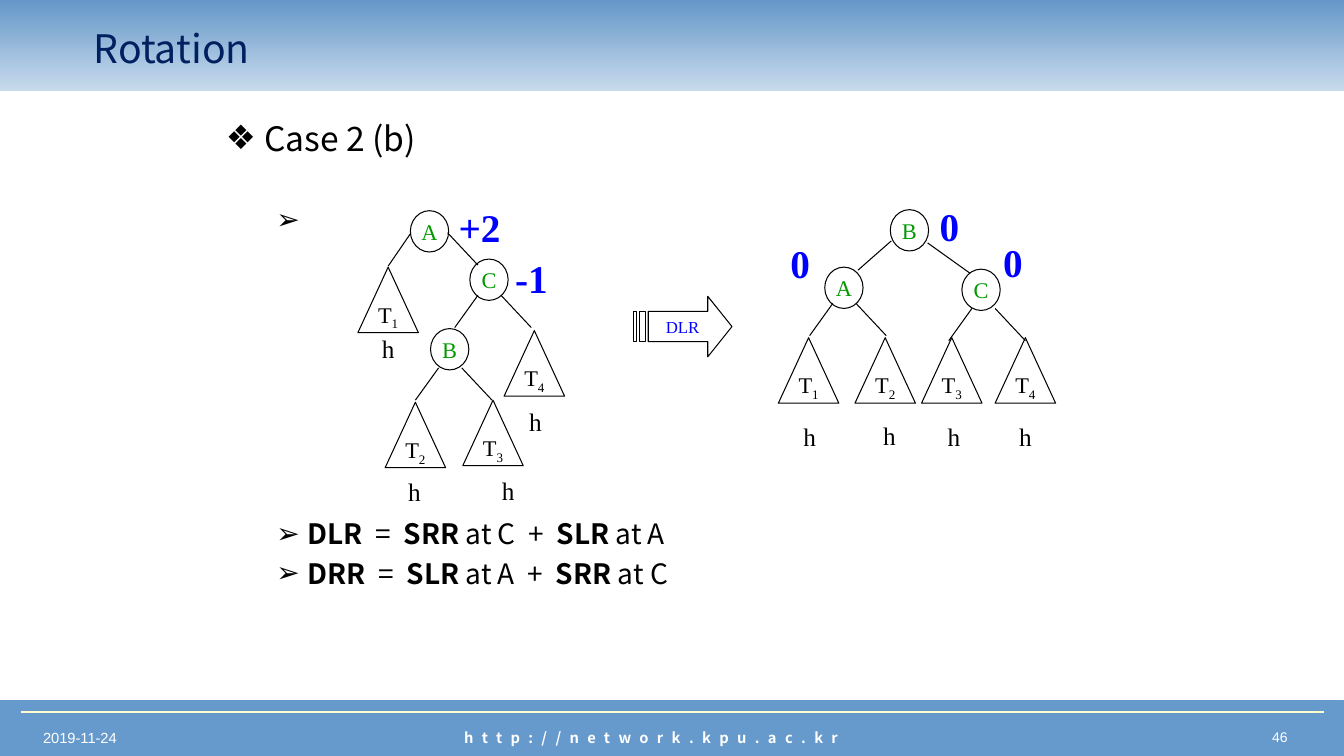
from lxml import etree
from pptx import Presentation
from pptx.dml.color import RGBColor
from pptx.enum.shapes import MSO_CONNECTOR, MSO_SHAPE
from pptx.enum.text import MSO_ANCHOR, MSO_AUTO_SIZE, PP_ALIGN
from pptx.oxml.ns import qn
from pptx.util import Pt

PX = 9144
LEFT, CENTER, RIGHT = PP_ALIGN.LEFT, PP_ALIGN.CENTER, PP_ALIGN.RIGHT
MIDDLE, TOP = MSO_ANCHOR.MIDDLE, MSO_ANCHOR.TOP
FIT_SHAPE, NO_FIT = MSO_AUTO_SIZE.SHAPE_TO_FIT_TEXT, MSO_AUTO_SIZE.NONE
RECTANGLE, OVAL = MSO_SHAPE.RECTANGLE, MSO_SHAPE.OVAL
TRIANGLE = MSO_SHAPE.ISOSCELES_TRIANGLE
STRAIGHT = MSO_CONNECTOR.STRAIGHT

SANS, SERIF, FOOTER_FONT = "Noto Sans CJK KR", "Times New Roman", "Arial"
COLORS = {
    "black": "000000", "white": "FFFFFF", "navy": "002060", "bar": "6699CC",
    "bar_top": "6497C9", "rule": "FFFFCC", "key": "009900", "balance": "0000FF",
}

NODES = [
    ("A", 407, 209), ("C", 466, 257), ("B", 427, 326),
    ("B", 883, 208), ("A", 818, 265), ("C", 954, 267),
]
SUBTREES = [
    ("1", 355, 265), ("2", 382, 399), ("3", 459, 397), ("4", 500, 328),
    ("1", 772, 335), ("2", 848, 335), ("3", 914, 335), ("4", 987, 335),
]
HEIGHTS = [
    (369, 326), (395, 468), (488, 467), (515, 398),
    (787, 413), (866, 412), (930, 413), (1001, 413),
]
BALANCES = [
    ("+2", 445, 197, 62), ("-1", 501, 247, 53),
    ("0", 922, 196, 40), ("0", 774, 233, 40), ("0", 985, 232, 40),
]
FORKS = [(474, 293), (435, 365), (826, 301), (964, 306)]
ROOT_EDGES = [
    (407, 232, 385, 264), (444, 231, 474, 263),
    (884, 239, 851, 268), (920, 241, 962, 271),
]
ARROW_HEAD = [(702, 294), (702, 309), (643, 309), (643, 339),
              (702, 339), (702, 354), (726, 324)]
ARROW_BARS = [(634, 640), (628, 631)]


def px(*lengths):
    return [length * PX for length in lengths]


def color(name):
    return RGBColor.from_string(COLORS[name])


def set_font(paragraph, name, size, color_name, bold=False):
    font = paragraph.font
    font.name, font.size, font.bold = name, Pt(size), bold
    font.color.rgb = color(color_name)


def paint(shape, fill, line):
    shape.shadow.inherit = False
    if fill:
        shape.fill.solid()
        shape.fill.fore_color.rgb = color(fill)
    else:
        shape.fill.background()
    shape.line.color.rgb = color(line)
    shape.line.width = Pt(0.75)


def add_line(slide, x1, y1, x2, y2, color_name="black", width=0.75):
    connector = slide.shapes.add_connector(STRAIGHT, *px(x1, y1, x2, y2))
    connector.line.color.rgb = color(color_name)
    connector.line.width = Pt(width)
    etree.SubElement(connector._element.spPr, qn("a:effectLst"))


def add_text(slide, text, box, font, align=LEFT, wrap=False):
    frame = slide.shapes.add_textbox(*px(*box)).text_frame
    frame.word_wrap = wrap
    frame.auto_size = FIT_SHAPE
    paragraph = frame.paragraphs[0]
    paragraph.alignment = align
    run = paragraph.add_run()
    run.text = text
    set_font(paragraph, *font)
    return run


def label_shape(shape, text, font, wrap=False):
    frame = shape.text_frame
    frame.word_wrap = wrap
    frame.vertical_anchor = MIDDLE
    paragraph = frame.paragraphs[0]
    paragraph.alignment = CENTER
    paragraph.add_run().text = text
    set_font(paragraph, *font)
    return paragraph


def add_node(slide, key, x, y):
    shape = slide.shapes.add_shape(OVAL, *px(x, y, 38, 41))
    paint(shape, None, "black")
    label_shape(shape, key, (SERIF, 16, "key"))


def add_subtree(slide, number, x, y):
    shape = slide.shapes.add_shape(TRIANGLE, *px(x, y, 60, 65))
    paint(shape, None, "black")
    run = label_shape(shape, "T", (SERIF, 16, "black")).add_run()
    run.text = number
    run._r.get_or_add_rPr().set("baseline", "-25000")


def add_fork(slide, x, y):
    add_line(slide, x, y, x - 23, y + 32)
    add_line(slide, x + 23, y, x + 53, y + 32)


def add_rotation_arrow(slide):
    builder = slide.shapes.build_freeform(*ARROW_HEAD[0], scale=PX)
    builder.add_line_segments(ARROW_HEAD[1:], close=True)
    for left, right in ARROW_BARS:
        builder.move_to(left, 309)
        builder.add_line_segments([(left, 339), (right, 339), (right, 309)], close=True)
    shape = builder.convert_to_shape()
    paint(shape, "white", "black")
    label_shape(shape, "DLR", (SERIF, 12, "balance"), wrap=True)


def add_frame(slide):
    footer = slide.shapes.add_shape(RECTANGLE, *px(0, 695, 1333, 55))
    paint(footer, "bar", "bar")
    add_text(slide, "2019-11-24", (33, 718, 357, 28), (FOOTER_FONT, 10.5, "white"), wrap=True)
    add_text(slide, "46", (990, 718, 297, 28), (FOOTER_FONT, 10, "white"), RIGHT, True)
    address = add_text(slide, "http://network.kpu.ac.kr", (302, 718, 688, 28),
                       (SANS, 10.5, "white", True), CENTER, True)
    address._r.get_or_add_rPr().set("spc", "600")
    add_line(slide, 21, 706, 1313, 706, "rule", 1.5)

    header = slide.shapes.add_shape(RECTANGLE, *px(0, 0, 1333, 90))
    header.shadow.inherit = False
    header.line.fill.background()
    header.fill.gradient()
    header.fill.gradient_angle = 90
    for stop, name in zip(header.fill.gradient_stops, ("bar", "bar_top")):
        stop.color.rgb = color(name)
    first_color = header._element.spPr.find(".//" + qn("a:srgbClr"))
    etree.SubElement(first_color, qn("a:alpha"), val="35000")


def place_placeholder(slide, placeholder, box, anchor):
    slide.shapes.element.append(placeholder.element)
    placeholder.left, placeholder.top, placeholder.width, placeholder.height = px(*box)
    frame = placeholder.text_frame
    frame.word_wrap = True
    frame.auto_size = NO_FIT
    frame.vertical_anchor = anchor
    return frame


def add_title(slide, text):
    frame = place_placeholder(slide, slide.shapes.title, (83, 16, 1125, 62), MIDDLE)
    paragraph = frame.paragraphs[0]
    paragraph.alignment = LEFT
    paragraph.add_run().text = text
    set_font(paragraph, SANS, 28, "navy")


def add_bullet(paragraph, parts, symbol, level, size, height, before):
    paragraph.level = level
    margin, hanging = ((38, 38), (81, 31))[level]
    properties = paragraph._p.get_or_add_pPr()
    properties.set("marL", str(margin * PX))
    properties.set("indent", str(-hanging * PX))
    etree.SubElement(properties, qn("a:buChar"), char=symbol)
    paragraph.line_spacing = Pt(height)
    paragraph.space_before = Pt(before)
    for text in parts:
        run = paragraph.add_run()
        run.text = text
        run.font.bold = text in ("DLR", "DRR", "SLR", "SRR")
    set_font(paragraph, SANS, size, "black")


def add_body(slide):
    frame = place_placeholder(slide, slide.placeholders[1], (214, 109, 835, 543), TOP)
    add_bullet(frame.paragraphs[0], ["Case 2 (b)"], "❖", 0, 24, 31, 0)
    for parts, before in (
        ([" "], 32),
        (["DLR", "  =  ", "SRR", " at C  +  ", "SLR", " at A"], 200),
        (["DRR", "  =  ", "SLR", " at A  +  ", "SRR", " at C"], 4),
    ):
        add_bullet(frame.add_paragraph(), parts, "➢", 1, 20, 24, before)


def main():
    presentation = Presentation()
    presentation.slide_width, presentation.slide_height = px(1333, 750)
    slide = presentation.slides.add_slide(presentation.slide_layouts[1])
    add_frame(slide)
    add_title(slide, "Rotation")
    add_body(slide)
    for node in NODES:
        add_node(slide, *node)
    for subtree in SUBTREES:
        add_subtree(slide, *subtree)
    for fork in FORKS:
        add_fork(slide, *fork)
    for edge in ROOT_EDGES:
        add_line(slide, *edge)
    for x, y in HEIGHTS:
        add_text(slide, "h", (x, y, 33, 40), (SERIF, 18, "black"))
    for text, x, y, width in BALANCES:
        add_text(slide, text, (x, y, width, 57), (SERIF, 28, "balance", True))
    add_rotation_arrow(slide)
    presentation.save("out.pptx")


if __name__ == "__main__":
    main()
